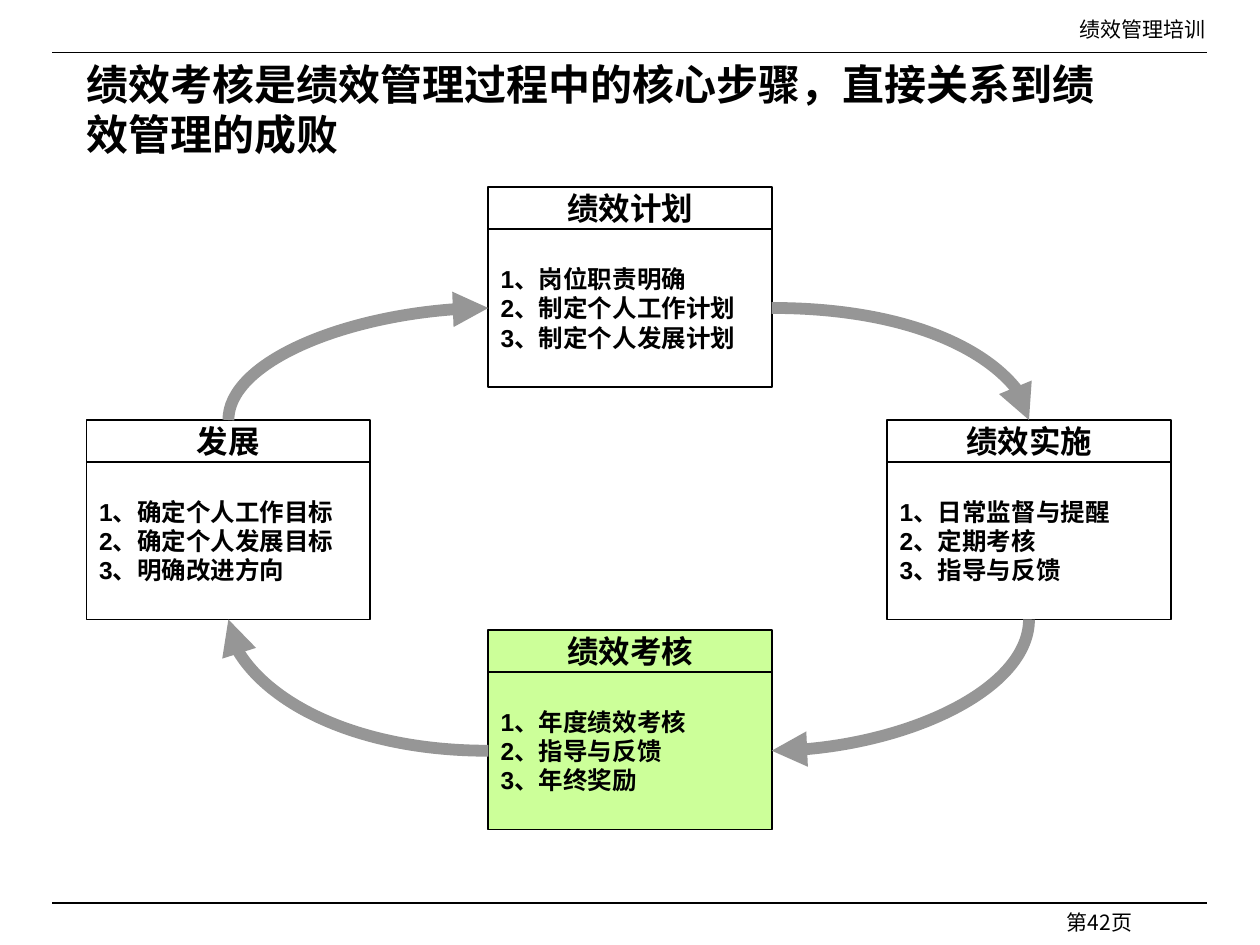
"""Build the performance management cycle slide."""
from lxml import etree
from pptx import Presentation
from pptx.dml.color import RGBColor
from pptx.enum.shapes import MSO_CONNECTOR, MSO_SHAPE
from pptx.enum.text import MSO_ANCHOR, PP_ALIGN
from pptx.oxml.ns import qn
from pptx.util import Pt

LEFT, CENTER, RIGHT = PP_ALIGN.LEFT, PP_ALIGN.CENTER, PP_ALIGN.RIGHT
TOP, MIDDLE = MSO_ANCHOR.TOP, MSO_ANCHOR.MIDDLE
RECTANGLE = MSO_SHAPE.RECTANGLE
STRAIGHT, CURVE = MSO_CONNECTOR.STRAIGHT, MSO_CONNECTOR.CURVE
SITE_TOP, SITE_LEFT, SITE_BOTTOM, SITE_RIGHT = range(4)

TITLE = "绩效考核是绩效管理过程中的核心步骤，直接关系到绩效管理的成败"
MARGIN_TEXTS = [
    ("绩效管理培训", (360, 6, 336, 21.6), "Times New Roman"),
    ("第42页", (504, 516, 150, 12), "Noto Sans CJK SC"),
]
STAGES = {
    "plan": ("绩效计划", ["岗位职责明确", "制定个人工作计划", "制定个人发展计划"], (279, 107), None),
    "review": ("绩效考核", ["年度绩效考核", "指导与反馈", "年终奖励"], (279, 360), "highlight"),
    "growth": ("发展", ["确定个人工作目标", "确定个人发展目标", "明确改进方向"], (49.5, 240), None),
    "action": ("绩效实施", ["日常监督与提醒", "定期考核", "指导与反馈"], (507, 240), None),
}
CYCLE = [
    (("plan", "body", SITE_RIGHT), ("action", "head", SITE_TOP)),
    (("action", "body", SITE_BOTTOM), ("review", "body", SITE_RIGHT)),
    (("review", "body", SITE_LEFT), ("growth", "body", SITE_BOTTOM)),
    (("growth", "head", SITE_TOP), ("plan", "body", SITE_LEFT)),
]
THEME = {
    "ink": RGBColor(0, 0, 0),
    "highlight": RGBColor(0xCC, 0xFF, 0x99),
    "arrow": RGBColor(0x96, 0x96, 0x96),
    "asian": "Noto Sans CJK SC",
    "title": 24, "head": 18, "body": 14, "margin": 12,
    "leading": 1.2,
}
STAGE_WIDTH, HEAD_HEIGHT, BODY_HEIGHT = 162, 24, 90
RULE_LEFT, RULE_RIGHT, RULE_TOPS = 30, 690, (30, 516)


def write(box, lines, role, font, align=LEFT, anchor=MIDDLE, bold=True):
    frame = box.text_frame
    frame.word_wrap = True
    frame.vertical_anchor = anchor
    for index, line in enumerate(lines):
        para = frame.add_paragraph() if index else frame.paragraphs[0]
        para.alignment = align
        para.space_before = Pt(0)
        para.line_spacing = Pt(THEME[role] * THEME["leading"])
        span = para.add_run()
        span.text = line
        span.font.size = Pt(THEME[role])
        span.font.bold = bold
        span.font.color.rgb = THEME["ink"]
        span.font.name = font
        asian = etree.Element(qn("a:ea"), typeface=THEME["asian"])
        span.font._element.find(qn("a:latin")).addnext(asian)


def add_panel(page, place, fill):
    panel = page.shapes.add_shape(RECTANGLE, *map(Pt, place))
    panel.shadow.inherit = False
    if fill:
        panel.fill.solid()
        panel.fill.fore_color.rgb = THEME[fill]
    else:
        panel.fill.background()
    panel.line.color.rgb = THEME["ink"]
    panel.line.width = Pt(1)
    return panel


def add_stage(page, heading, items, corner, fill):
    left, top = corner
    head = add_panel(page, (left, top, STAGE_WIDTH, HEAD_HEIGHT), fill)
    body = add_panel(page, (left, top + HEAD_HEIGHT, STAGE_WIDTH, BODY_HEIGHT), fill)
    write(head, [heading], "head", "Arial", CENTER)
    numbered = [f"{number}、{item}" for number, item in enumerate(items, 1)]
    write(body, numbered, "body", "Arial")
    return {"head": head, "body": body}


def style_line(line, color, width):
    line.line.color.rgb = THEME[color]
    line.line.width = Pt(width)
    etree.SubElement(line._element.spPr, qn("a:effectLst"))


def add_arrow(page, panels, start, end, turns):
    arrow = page.shapes.add_connector(CURVE, 0, 0, 0, 0)
    arrow.begin_connect(panels[start[0]][start[1]], start[2])
    arrow.end_connect(panels[end[0]][end[1]], end[2])
    middle_x = (arrow.begin_x + arrow.end_x) // 2
    middle_y = (arrow.begin_y + arrow.end_y) // 2
    width, height = arrow.width, arrow.height
    if turns % 2:
        width, height = height, width
    arrow.left, arrow.top = middle_x - width // 2, middle_y - height // 2
    arrow.width, arrow.height = width, height
    properties = arrow._element.spPr
    frame = properties.find(qn("a:xfrm"))
    for flip in ("flipH", "flipV"):
        frame.attrib.pop(flip, None)
    frame.set("rot", str(turns * 90 * 60000))
    properties.find(qn("a:prstGeom")).set("prst", "curvedConnector2")
    style_line(arrow, "arrow", 6.75)
    etree.SubElement(properties.find(qn("a:ln")), qn("a:tailEnd"), type="triangle")


def main():
    deck = Presentation()
    deck.slide_width, deck.slide_height = Pt(720), Pt(540)
    page = deck.slides.add_slide(deck.slide_layouts[5])

    for top in RULE_TOPS:
        rule = page.shapes.add_connector(STRAIGHT, Pt(RULE_LEFT), Pt(top), Pt(RULE_RIGHT), Pt(top))
        style_line(rule, "ink", 0.75)
    for text, place, font in MARGIN_TEXTS:
        box = page.shapes.add_textbox(*map(Pt, place))
        write(box, [text], "margin", font, RIGHT, TOP, False)

    panels = {name: add_stage(page, *stage) for name, stage in STAGES.items()}
    for turns, (start, end) in enumerate(CYCLE):
        add_arrow(page, panels, start, end, turns)

    title = page.shapes.title
    title.left, title.top, title.width, title.height = map(Pt, (42, 29.5, 612, 65))
    write(title, [TITLE], "title", "Times New Roman")
    deck.save("out.pptx")


if __name__ == "__main__":
    main()
